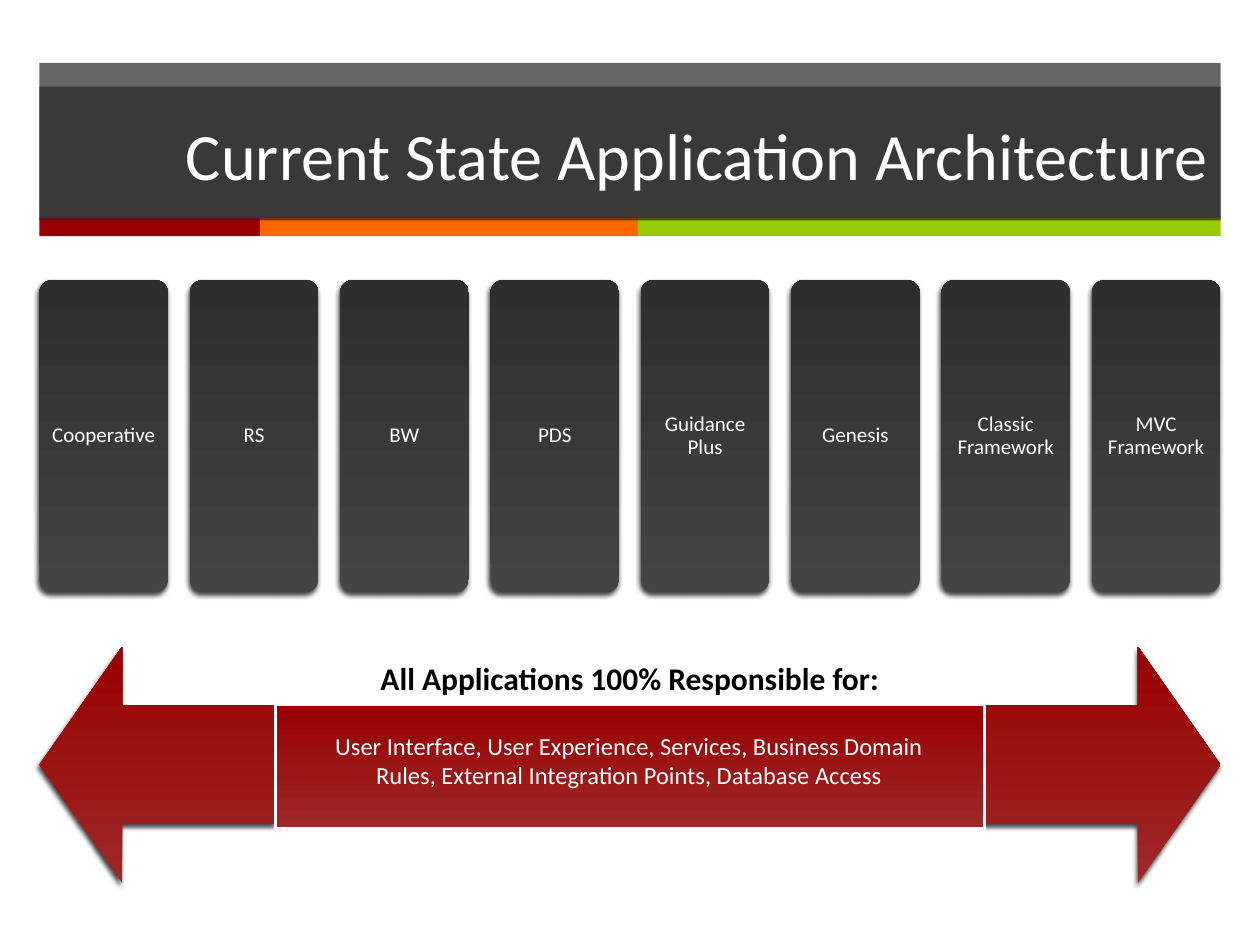
from lxml.etree import SubElement
from pptx import Presentation
from pptx.dml.color import RGBColor
from pptx.enum.shapes import MSO_SHAPE
from pptx.enum.text import MSO_ANCHOR, PP_ALIGN
from pptx.oxml.ns import qn
from pptx.util import Pt

TITLE = "Current State Application Architecture"
APPS = ["Cooperative", "RS", "BW", "PDS", "Guidance Plus", "Genesis",
        "Classic Framework", "MVC Framework"]
HEAD = "All Applications 100% Responsible for:"
DUTIES = ("User Interface, User Experience, Services, Business Domain Rules, "
          "External Integration Points, Database Access")
STRIPES = [("990000", 126), ("FF6600", 216), ("99CC00", 333)]
GRAY = ("444444", "2E2E2E")
RED = ("9D2828", "990000")
LEFT, WIDTH = 22.5, 675
CARD = 73.6
ARROW = 135


def color(code):
    return RGBColor.from_string(code)


def add_box(kind, x, y, w, h):
    box = slide.shapes.add_shape(kind, Pt(x), Pt(y), Pt(w), Pt(h))
    box.shadow.inherit = False
    box.line.fill.background()
    return box


def paint(box, code, alpha=100):
    box.fill.solid()
    box.fill.fore_color.rgb = color(code)
    if alpha < 100:
        tint = box._element.spPr.find(".//" + qn("a:srgbClr"))
        SubElement(tint, qn("a:alpha"), val=str(alpha * 1000))


def blend(box, codes):
    box.fill.gradient()
    box.fill.gradient_angle = 90
    for stop, code in zip(box.fill.gradient_stops, codes):
        stop.color.rgb = color(code)


def shade(box):
    effects = box._element.spPr.find(qn("a:effectLst"))
    outer = SubElement(effects, qn("a:outerShdw"), blurRad=str(Pt(3)),
                       dist=str(Pt(2)), dir="6600000", rotWithShape="0")
    tint = SubElement(outer, qn("a:srgbClr"), val="000000")
    SubElement(tint, qn("a:alpha"), val="75000")


def write(box, text, size, code="FFFFFF", align=PP_ALIGN.CENTER, bold=False):
    frame = box.text_frame
    frame.word_wrap = True
    line = frame.paragraphs[0]
    line.text = text
    line.alignment = align
    font = line.font
    font.name, font.size, font.bold = "Calibri", Pt(size), bold
    font.color.rgb = color(code)
    return frame


def add_text(x, y, w, h, text, size, **style):
    box = slide.shapes.add_textbox(Pt(x), Pt(y), Pt(w), Pt(h))
    write(box, text, size, **style)


deck = Presentation()
deck.slide_width, deck.slide_height = Pt(720), Pt(540)
slide = deck.slides.add_slide(deck.slide_layouts[6])

paint(add_box(MSO_SHAPE.RECTANGLE, LEFT, 36, WIDTH, 89), "262626", 70)
x = LEFT
for code, width in STRIPES:
    paint(add_box(MSO_SHAPE.RECTANGLE, x, 124.5, width, 10.5), code)
    x += width

title = add_box(MSO_SHAPE.RECTANGLE, LEFT, 49.5, WIDTH, 76.5)
paint(title, "262626", 70)
frame = write(title, TITLE, 37.8, align=PP_ALIGN.RIGHT)
frame.vertical_anchor = MSO_ANCHOR.MIDDLE

step = (WIDTH - CARD) / (len(APPS) - 1)
for i, name in enumerate(APPS):
    card = add_box(MSO_SHAPE.ROUNDED_RECTANGLE, LEFT + i * step, 160, CARD, 178.5)
    card.adjustments[0] = 0.1
    blend(card, GRAY)
    shade(card)
    frame = write(card, name, 12)
    frame.margin_left = frame.margin_right = Pt(3.6)
    frame.vertical_anchor = MSO_ANCHOR.MIDDLE
    frame.paragraphs[0].line_spacing = 0.9

for kind, x in [(MSO_SHAPE.LEFT_ARROW, LEFT),
                (MSO_SHAPE.RIGHT_ARROW, LEFT + WIDTH - ARROW)]:
    arrow = add_box(kind, x, 369.5, ARROW, ARROW)
    arrow.adjustments[0], arrow.adjustments[1] = 0.5, 0.35
    blend(arrow, RED)
    shade(arrow)

band = add_box(MSO_SHAPE.RECTANGLE, LEFT + ARROW, 402.5, WIDTH - 2 * ARROW, 71)
blend(band, RED)
band.line.color.rgb = color("FFFFFF")
band.line.width = Pt(2)
add_text(166, 414, 387, 41, DUTIES, 14)
add_text(LEFT + ARROW, 373, WIDTH - 2 * ARROW, 29, HEAD, 18, code="000000", bold=True)

deck.save("out.pptx")
